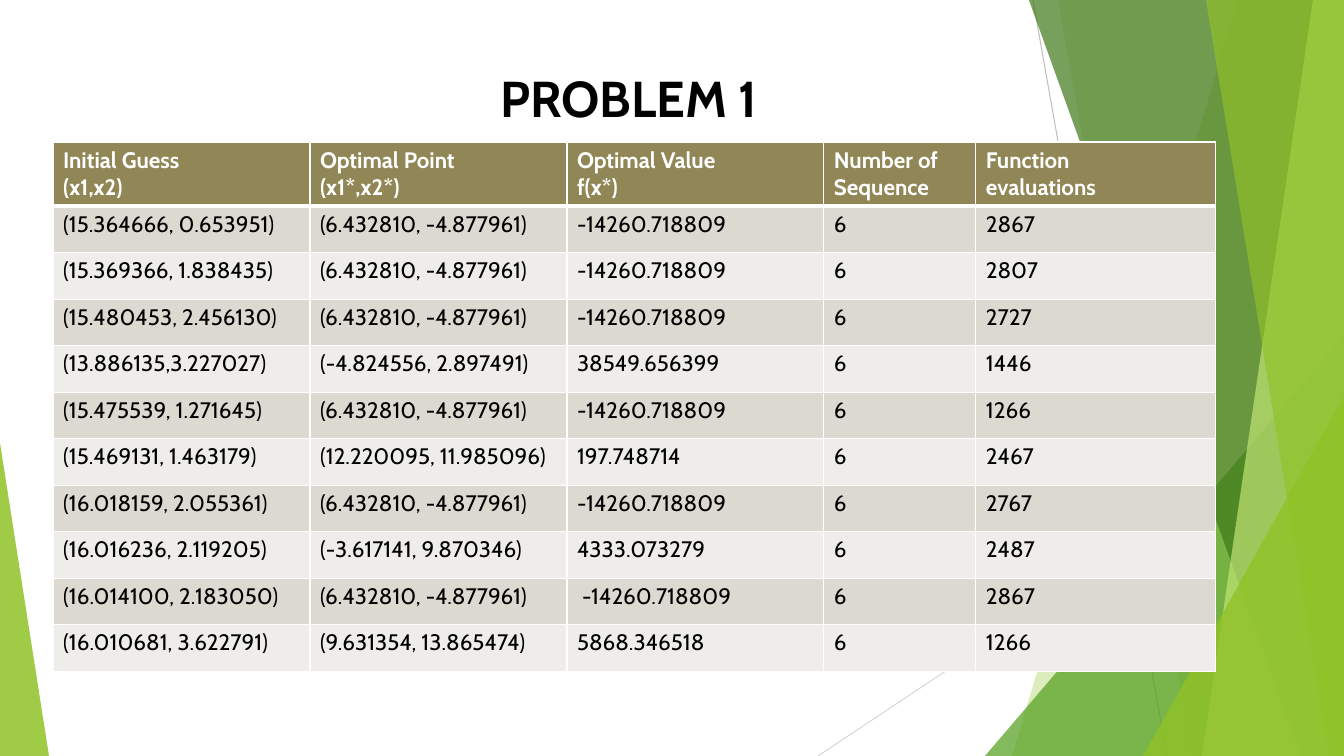
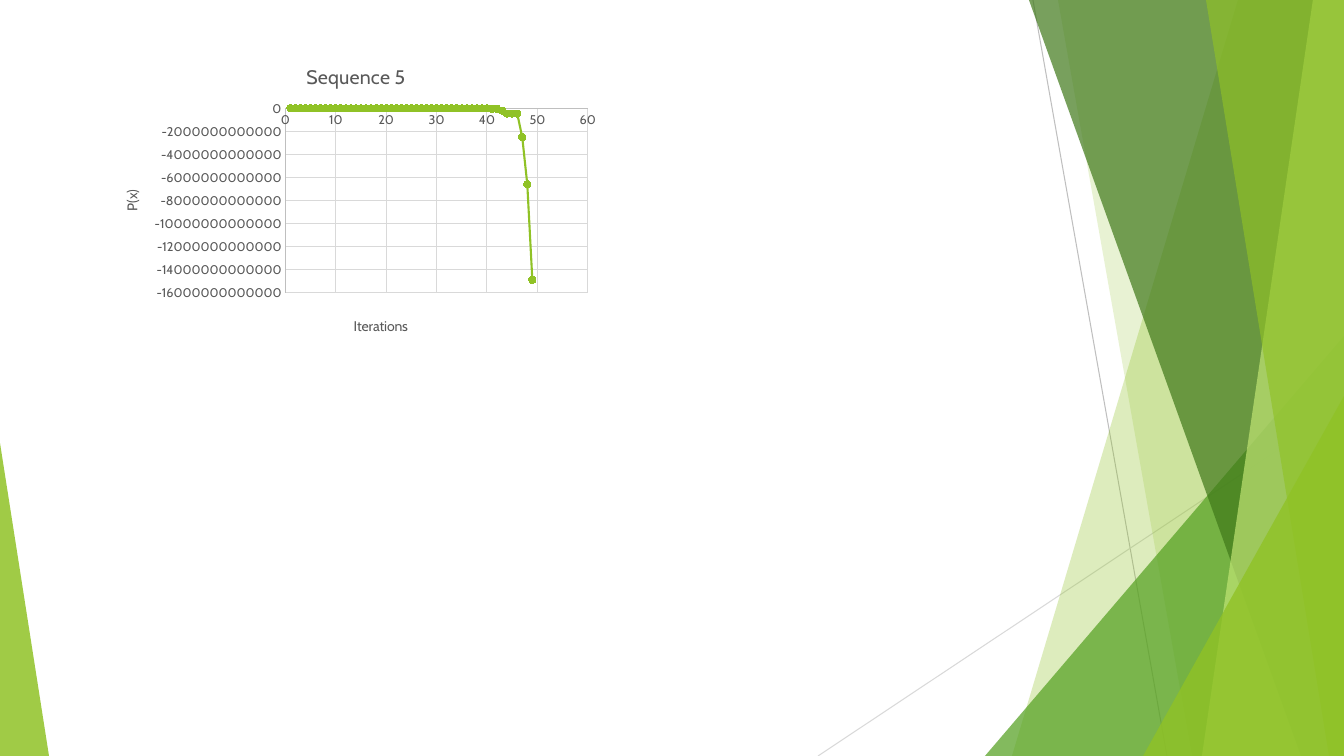
from lxml import etree
from pptx import Presentation
from pptx import util as u
from pptx.chart.data import XyChartData
from pptx.dml.color import RGBColor
from pptx.enum import chart as ch, shapes, text
from pptx.oxml.ns import qn

PX = 12192000 / 1344
FONT = "Cabin"
HUES = {
    "white": "FFFFFF", "black": "000000", "text": "595959",
    "axis": "BFBFBF", "grid": "D9D9D9",
    "lime": "90C226", "leaf": "54A021", "dark": "3F7819", "pale": "C0E474",
    "head": "918655", "odd": "DCD9D1", "even": "EEEDE9",
}


def style(font, size, hue, bold=False):
    font.name, font.size, font.bold = FONT, u.Pt(size), bold
    font.color.rgb = RGBColor.from_string(HUES[hue])


def place(node, spot, **box):
    """Give a chart part a fixed place, in fractions of the chart."""
    old = node.find(qn("c:layout"))
    if old is not None:
        node.remove(old)
    frame = etree.Element(qn("c:layout"))
    man = etree.SubElement(frame, qn("c:manualLayout"))
    if "w" in box:
        etree.SubElement(man, qn("c:layoutTarget"), val="inner")
    for side in "xy":
        etree.SubElement(man, qn(f"c:{side}Mode"), val="edge")
    for key, val in box.items():
        etree.SubElement(man, qn("c:" + key), val=str(val))
    node.insert(spot, frame)


deck = Presentation()
deck.slide_width, deck.slide_height = round(1344 * PX), round(756 * PX)
first = deck.slides.add_slide(deck.slide_layouts[5])

# Backdrop: drawn once, then moved to the slide master
decor = []
for ends, hue in [((1033, 0, 1167, 756), "axis"), ((1344, 406, 818, 756), "grid")]:
    line = first.shapes.add_connector(
        shapes.MSO_CONNECTOR.STRAIGHT, *[round(n * PX) for n in ends])
    line.line.width = u.Pt(0.75)
    line.line.color.rgb = RGBColor.from_string(HUES[hue])
    etree.SubElement(line._element.spPr, qn("a:effectLst"))
    decor.append(line)

# Bands reach the right edge: top left x, bottom left x, hue, opacity
# Wedges are right triangles: left, top, width, tip, hue, opacity
facets = [
    (1238, 1012, "lime", 30),
    (1058, 1192, "lime", 20),
    (985, 336, 359, 1, "leaf", 72),
    (1029, 1301, "dark", 70),
    (1313, 1202, "pale", 70),
    (1206, 1329, "lime", 65),
    (1143, 396, 201, 1, "lime", 80),
    (0, 443, 49, 0, "lime", 85),
]
for *geo, hue, alpha in facets:
    if len(geo) == 2:
        top, foot = geo
        pen = first.shapes.build_freeform(top, 0, PX)
        pen.add_line_segments([(1344, 0), (1344, 756), (foot, 756)])
        facet = pen.convert_to_shape()
    else:
        left, top, width, tip = geo
        facet = first.shapes.add_shape(
            shapes.MSO_SHAPE.ISOSCELES_TRIANGLE,
            *[round(n * PX) for n in (left, top, width, 756 - top)])
        facet.adjustments[0] = tip
    facet.shadow.inherit = False
    facet.line.fill.background()
    facet.fill.solid()
    facet.fill.fore_color.rgb = RGBColor.from_string(HUES[hue])
    tint = facet._element.spPr.find(qn("a:solidFill"))[0]
    etree.SubElement(tint, qn("a:alpha"), val=str(alpha * 1000))
    decor.append(facet)

tree = deck.slide_master.shapes._spTree
for i, shape in enumerate(decor):
    shape._element.xpath("./*/p:cNvPr")[0].set("id", str(100 + i))
    tree.insert(2 + i, shape._element)

# Slide 1: results table
title = first.shapes.title
title.left, title.top, title.width, title.height = [
    round(n * PX) for n in (490, 61, 402, 72)]
frame = title.text_frame
frame.word_wrap = True
frame.vertical_anchor = text.MSO_ANCHOR.MIDDLE
frame.paragraphs[0].alignment = text.PP_ALIGN.LEFT
run = frame.paragraphs[0].add_run()
run.text = "PROBLEM 1"
style(run.font, 36, "black", True)

BEST = "(6.432810, -4.877961)"
LOW = "-14260.718809"
rows = [
    ("Initial Guess\n(x1,x2)", "Optimal Point\n(x1*,x2*)", "Optimal Value\nf(x*)",
     "Number of\nSequence", "Function\nevaluations"),
    ("(15.364666, 0.653951)", BEST, LOW, "6", "2867"),
    ("(15.369366, 1.838435)", BEST, LOW, "6", "2807"),
    ("(15.480453, 2.456130)", BEST, LOW, "6", "2727"),
    ("(13.886135,3.227027)", "(-4.824556, 2.897491)", "38549.656399", "6", "1446"),
    ("(15.475539, 1.271645)", BEST, LOW, "6", "1266"),
    ("(15.469131, 1.463179)", "(12.220095, 11.985096)", "197.748714", "6", "2467"),
    ("(16.018159, 2.055361)", BEST, LOW, "6", "2767"),
    ("(16.016236, 2.119205)", "(-3.617141, 9.870346)", "4333.073279", "6", "2487"),
    ("(16.014100, 2.183050)", BEST, " " + LOW, "6", "2867"),
    ("(16.010681, 3.622791)", "(9.631354, 13.865474)", "5868.346518", "6", "1266"),
]
wide = [257, 257, 257, 152, 240]
high = [63] + [46, 47] * 5
grid = first.shapes.add_table(
    len(rows), len(wide),
    *[round(n * PX) for n in (53, 142, sum(wide), sum(high))]).table
for col, width in zip(grid.columns, wide):
    col.width = round(width * PX)
for r, (row, height) in enumerate(zip(rows, high)):
    grid.rows[r].height = round(height * PX)
    fill = "head" if r == 0 else "odd" if r % 2 else "even"
    for c, words in enumerate(row):
        cell = grid.cell(r, c)
        cell.fill.solid()
        cell.fill.fore_color.rgb = RGBColor.from_string(HUES[fill])
        for i, part in enumerate(words.split("\n")):
            body = cell.text_frame
            para = body.add_paragraph() if i else body.paragraphs[0]
            run = para.add_run()
            run.text = part
            style(run.font, 16, "black" if r else "white", r == 0)
        props = cell._tc.get_or_add_tcPr()
        for i, side in enumerate("LRTB"):
            thick = (r, side) in [(0, "B"), (1, "T")]
            edge = etree.Element(qn("a:ln" + side), w=str(u.Pt(3 if thick else 1)))
            paint = etree.SubElement(edge, qn("a:solidFill"))
            etree.SubElement(paint, qn("a:srgbClr"), val=HUES["white"])
            props.insert(i, edge)

# Slide 2: scatter chart
second = deck.slides.add_slide(deck.slide_layouts[6])
vals = ([0] * 32 + [-1e9] * 4 + [-3e9] * 4 + [-36e9] * 2
        + [-0.2e12] + [-0.45e12] * 3 + [-2.5e12, -6.6e12, -14.9e12])
data = XyChartData()
points = data.add_series("Series 1")
for x, y in enumerate(vals, 1):
    points.add_data_point(x, y)
chart = second.shapes.add_chart(
    ch.XL_CHART_TYPE.XY_SCATTER_LINES,
    *[round(n * PX) for n in (104, 48, 504, 302)], data).chart
style(chart.font, 10, "black")
chart.has_legend = False
chart.has_title = True
run = chart.chart_title.text_frame.paragraphs[0].add_run()
run.text = "Sequence 5"
style(run.font, 14, "text")

scales = [(chart.category_axis, "Iterations", 0, 60, 10),
          (chart.value_axis, "P(x)", -16e12, 0, 2e12)]
for axis, name, low, top, step in scales:
    axis.minimum_scale, axis.maximum_scale, axis.major_unit = low, top, step
    axis.major_tick_mark = axis.minor_tick_mark = ch.XL_TICK_MARK.NONE
    axis.tick_label_position = ch.XL_TICK_LABEL_POSITION.NEXT_TO_AXIS
    axis.tick_labels.number_format = "0"
    axis.tick_labels.number_format_is_linked = False
    style(axis.tick_labels.font, 9, "text")
    axis.has_major_gridlines = True
    for line, hue in [(axis.format.line, "axis"),
                      (axis.major_gridlines.format.line, "grid")]:
        line.width = u.Pt(0.75)
        line.color.rgb = RGBColor.from_string(HUES[hue])
    run = axis.axis_title.text_frame.paragraphs[0].add_run()
    run.text = name
    style(run.font, 10, "text")

label = chart.value_axis.axis_title.text_frame
label._txBody.bodyPr.set("rot", "-5400000")
label._txBody.bodyPr.set("vert", "horz")
place(chart.category_axis.axis_title._element, 1, x=0.49, y=0.88)
place(chart._chartSpace.chart.plotArea, 0, x=0.36, y=0.2, w=0.6, h=0.61)

plot = chart.plots[0]
plot.vary_by_categories = False
curve = plot.series[0]
curve.smooth = False
curve.marker.style = ch.XL_MARKER_STYLE.CIRCLE
curve.marker.size = 5
lime = RGBColor.from_string(HUES["lime"])
curve.marker.format.fill.solid()
curve.marker.format.fill.fore_color.rgb = lime
curve.marker.format.line.color.rgb = lime
curve.format.line.width = u.Pt(1.5)
curve.format.line.color.rgb = lime

deck.save("out.pptx")
